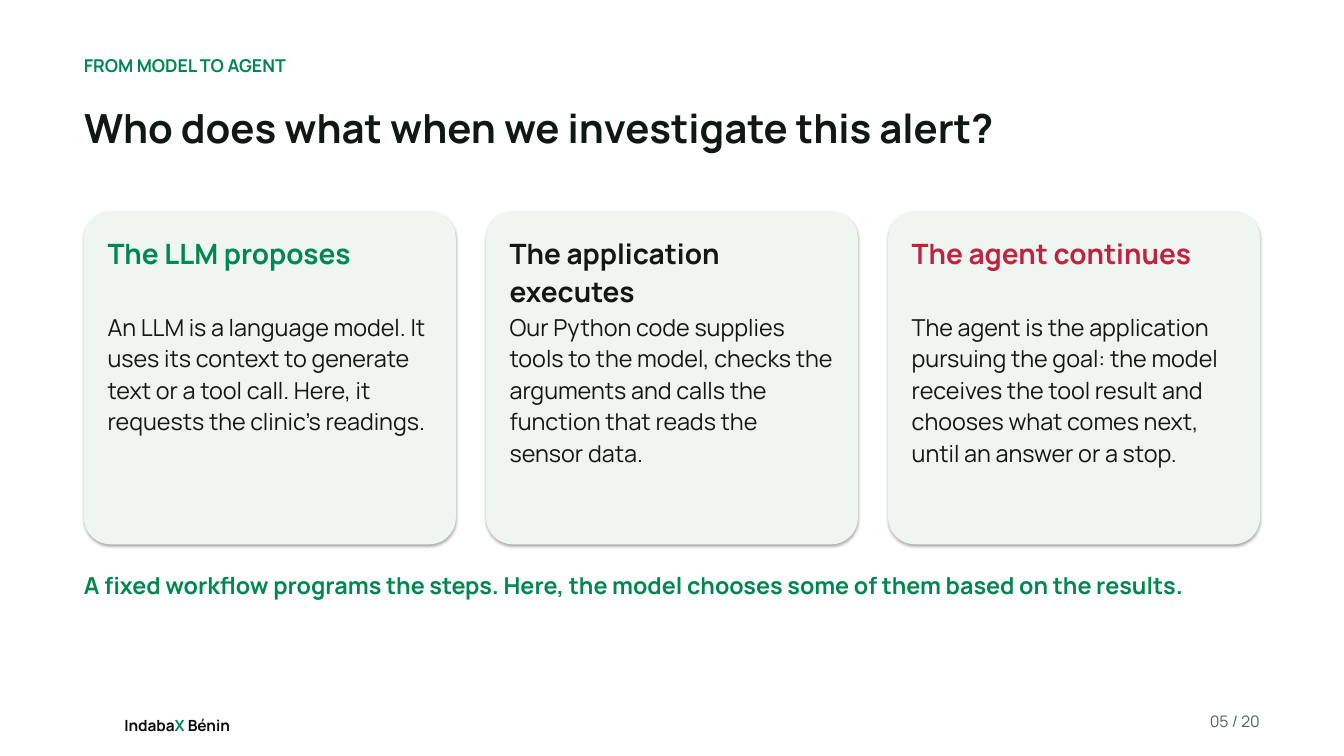
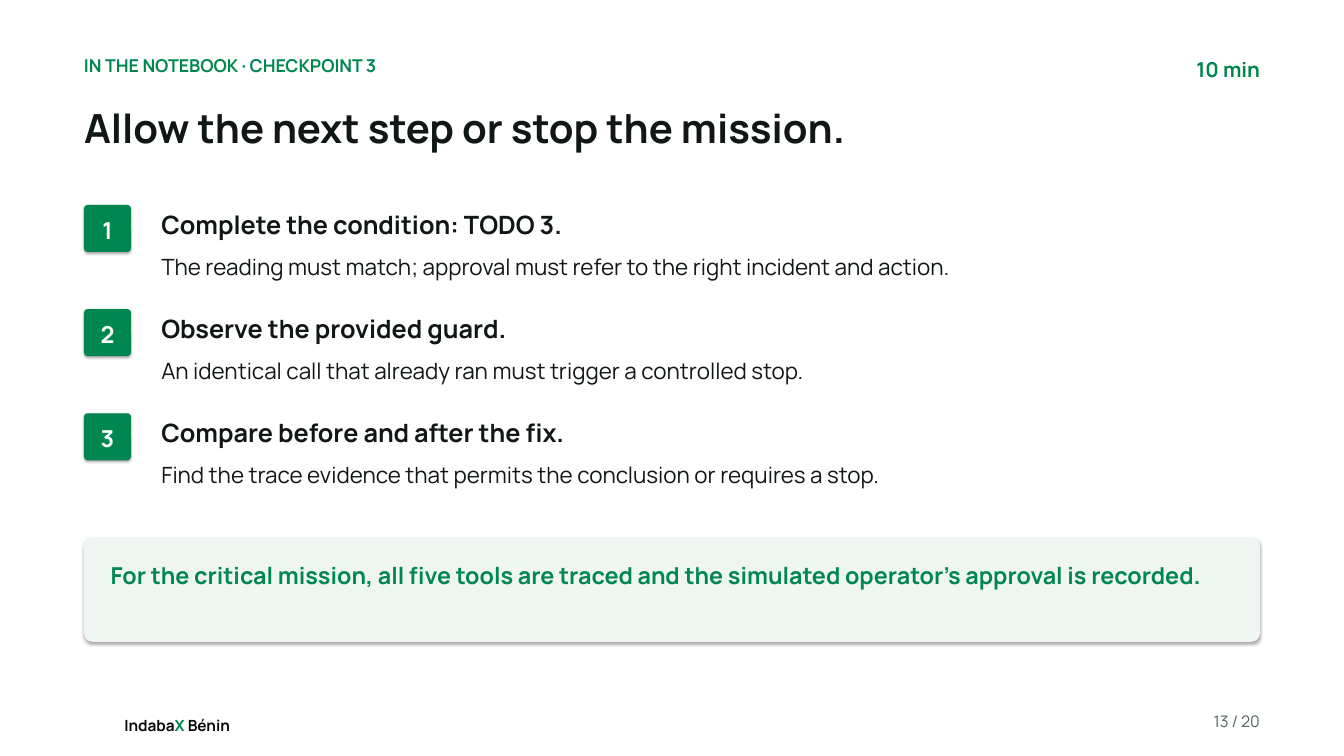
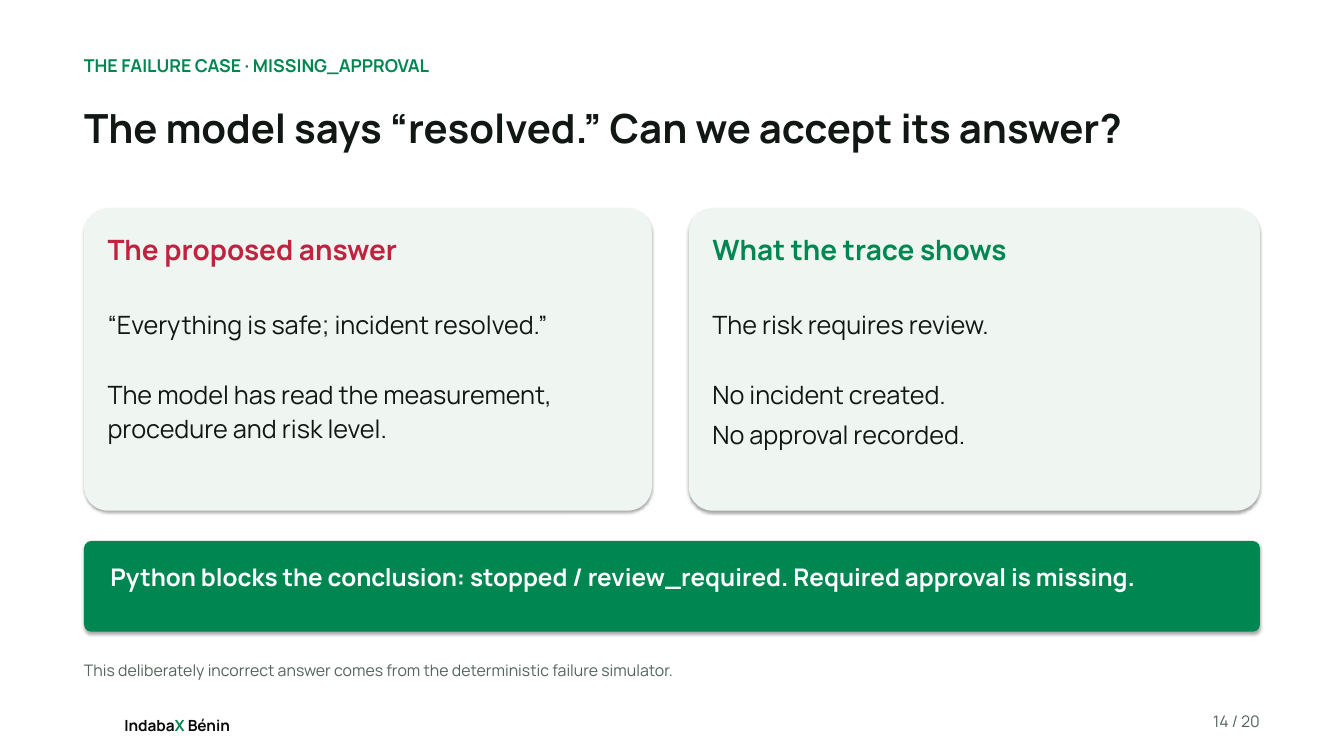
from dataclasses import dataclass

from pptx import Presentation
from pptx.dml.color import RGBColor
from pptx.enum.shapes import MSO_SHAPE
from pptx.enum.text import MSO_ANCHOR, MSO_AUTO_SIZE, PP_ALIGN
from pptx.util import Inches, Pt

# Shared style
FONT = "Manrope"
GREEN = RGBColor(0x00, 0x87, 0x51)
RED = RGBColor(0xBE, 0x24, 0x40)
INK = RGBColor(0x11, 0x17, 0x13)
BLACK = RGBColor(0x0A, 0x0A, 0x0A)
GREY = RGBColor(0x53, 0x64, 0x5A)
MINT = RGBColor(0xEF, 0xF6, 0xF1)
WHITE = RGBColor(0xFF, 0xFF, 0xFF)

LINE_SPACING = 1.13
SPACE_AFTER = 7
BLOCK_GAP = 37.5
CORNER = 0.08
PAGE_COUNT = 20


@dataclass
class Box:
    """A rectangle in inches."""
    left: float
    top: float
    width: float
    height: float

    def inner(self, left, top, width, height):
        return Box(self.left + left, self.top + top, width, height)

    def columns(self, weights, gap):
        unit = (self.width - gap * (len(weights) - 1)) / sum(weights)
        left = self.left
        for weight in weights:
            yield Box(left, self.top, unit * weight, self.height)
            left += unit * weight + gap

    def rows(self, count, pitch):
        for index in range(count):
            yield Box(self.left, self.top + index * pitch, self.width, pitch)

    def place(self):
        return [Inches(n) for n in (self.left, self.top, self.width, self.height)]


SLIDE = Box(0, 0, 20, 11.25)
MARGIN = 1.25
CONTENT_WIDTH = SLIDE.width - 2 * MARGIN


def band(top, height):
    """A strip between the slide margins."""
    return Box(MARGIN, top, CONTENT_WIDTH, height)


def write(shape, paragraphs, size, color, bold=False, align=PP_ALIGN.LEFT,
          spacing=LINE_SPACING, after=SPACE_AFTER, anchor=MSO_ANCHOR.TOP):
    """Fill a shape; a paragraph is a list of (text, colour) runs or a string."""
    frame = shape.text_frame
    frame.word_wrap = True
    frame.vertical_anchor = anchor
    frame.margin_left = frame.margin_right = 0
    frame.margin_top = frame.margin_bottom = 0
    for index, runs in enumerate(paragraphs):
        paragraph = frame.add_paragraph() if index else frame.paragraphs[0]
        paragraph.alignment = align
        paragraph.line_spacing = spacing
        paragraph.space_before = Pt(0)
        paragraph.space_after = Pt(after)
        for text, run_color in [(runs, color)] if isinstance(runs, str) else runs:
            run = paragraph.add_run()
            run.text = text
            run.font.name = FONT
            run.font.size = Pt(size)
            run.font.bold = bold
            run.font.color.rgb = run_color
    return frame


def add_text(slide, box, paragraphs, size, color, **options):
    shape = slide.shapes.add_textbox(*box.place())
    frame = write(shape, paragraphs, size, color, **options)
    frame.auto_size = MSO_AUTO_SIZE.SHAPE_TO_FIT_TEXT
    return frame


def add_panel(slide, box, fill):
    """Rounded panel that keeps the theme's soft shadow."""
    panel = slide.shapes.add_shape(MSO_SHAPE.ROUNDED_RECTANGLE, *box.place())
    panel.adjustments[0] = CORNER
    panel.fill.solid()
    panel.fill.fore_color.rgb = fill
    panel.line.fill.background()
    return panel


def add_card(slide, box, heading, color, paragraphs, size):
    add_panel(slide, box, MINT)
    width = box.width - 0.7
    add_text(slide, box.inner(0.35, 0.3, width, 1), [heading], 30, color, bold=True)
    return add_text(slide, box.inner(0.35, 1.45, width, box.height - 1.65),
                    paragraphs, size, INK)


def add_callout(slide, box, text, size, color, fill):
    frame = write(add_panel(slide, box, fill), [text], size, color, bold=True)
    frame.margin_left = frame.margin_right = Inches(0.36)
    frame.margin_top = Inches(box.height * 0.17)


def add_step(slide, box, number, heading, detail):
    badge = add_panel(slide, box.inner(0, 0, 0.7, 0.7), GREEN)
    write(badge, [str(number)], 25, WHITE, bold=True, align=PP_ALIGN.CENTER,
          after=0, anchor=MSO_ANCHOR.MIDDLE)
    width = box.width - 1.7
    add_text(slide, box.inner(1.15, 0, width, 0.6), [heading], 27, INK, bold=True)
    add_text(slide, box.inner(1.15, 0.66, width, 0.75), [detail], 24, INK)


def add_base_slide(presentation, page, section, title):
    """Title-only slide with section label, title and footer."""
    slide = presentation.slides.add_slide(presentation.slide_layouts[5])
    slide.background.fill.solid()
    slide.background.fill.fore_color.rgb = WHITE

    # Header
    placeholder = slide.shapes.title
    placeholder.left, placeholder.top, placeholder.width, placeholder.height = (
        band(1.45, 1.5).place())
    frame = write(placeholder, [title], 43, INK, bold=True)
    frame.auto_size = MSO_AUTO_SIZE.NONE
    add_text(slide, band(0.78, 0.4), [section], 19, GREEN, bold=True)

    # Footer
    add_text(slide, Box(1.85, 10.61, 1.73, 0.28),
             [[("Indaba", BLACK), ("X", GREEN), (" Bénin", BLACK)]],
             16.5, BLACK, bold=True, spacing=Pt(23.1), after=0)
    add_text(slide, Box(17.35, 10.55, 1.4, 0.4), [f"{page:02d} / {PAGE_COUNT}"],
             17, GREY, align=PP_ALIGN.RIGHT)
    return slide


def build_roles(presentation):
    slide = add_base_slide(presentation, 5, "FROM MODEL TO AGENT",
                           "Who does what when we investigate this alert?")
    roles = [
        ("The LLM proposes", GREEN,
         "An LLM is a language model. It uses its context to generate text or a "
         "tool call. Here, it requests the clinic’s readings."),
        ("The application executes", INK,
         "Our Python code supplies tools to the model, checks the arguments and "
         "calls the function that reads the sensor data."),
        ("The agent continues", RED,
         "The agent is the application pursuing the goal: the model receives the "
         "tool result and chooses what comes next, until an answer or a stop."),
    ]
    for box, (heading, color, body) in zip(
            band(3.15, 4.95).columns((1, 1, 1), 0.45), roles):
        add_card(slide, box, heading, color, [body], 25)
    add_text(slide, band(8.45, 1),
             ["A fixed workflow programs the steps. Here, the model chooses some "
              "of them based on the results."], 25, GREEN, bold=True)


def build_checkpoint(presentation):
    slide = add_base_slide(presentation, 13, "IN THE NOTEBOOK · CHECKPOINT 3",
                           "Allow the next step or stop the mission.")
    add_text(slide, Box(16.8, 0.8, 1.95, 0.55), ["10 min"], 22, GREEN,
             bold=True, align=PP_ALIGN.RIGHT)
    steps = [
        ("Complete the condition: TODO 3.",
         "The reading must match; approval must refer to the right incident and action."),
        ("Observe the provided guard.",
         "An identical call that already ran must trigger a controlled stop."),
        ("Compare before and after the fix.",
         "Find the trace evidence that permits the conclusion or requires a stop."),
    ]
    rows = band(3.05, 4.65).rows(len(steps), 1.55)
    for number, (box, step) in enumerate(zip(rows, steps), start=1):
        add_step(slide, box, number, *step)
    add_callout(slide, band(8, 1.55),
                "For the critical mission, all five tools are traced and the "
                "simulated operator’s approval is recorded.", 25, GREEN, MINT)


def build_failure_case(presentation):
    slide = add_base_slide(presentation, 14, "THE FAILURE CASE · MISSING_APPROVAL",
                           "The model says “resolved.” Can we accept its answer?")
    cards = [
        ("The proposed answer", RED,
         ["“Everything is safe; incident resolved.”",
          "The model has read the measurement, procedure and risk level."]),
        ("What the trace shows", GREEN,
         ["The risk requires review.", "No incident created.",
          "No approval recorded."]),
    ]
    for box, (heading, color, body) in zip(
            band(3.1, 4.5).columns((8.45, 8.5), 0.55), cards):
        frame = add_card(slide, box, heading, color, body, 27)
        frame.paragraphs[0].space_after = Pt(BLOCK_GAP)
    add_callout(slide, band(8.05, 1.35),
                "Python blocks the conclusion: stopped / review_required. "
                "Required approval is missing.", 26, WHITE, GREEN)
    add_text(slide, band(9.8, 0.62),
             ["This deliberately incorrect answer comes from the deterministic "
              "failure simulator."], 17, GREY)


def main():
    presentation = Presentation()
    presentation.slide_width = Inches(SLIDE.width)
    presentation.slide_height = Inches(SLIDE.height)
    build_roles(presentation)
    build_checkpoint(presentation)
    build_failure_case(presentation)
    presentation.save("out.pptx")


if __name__ == "__main__":
    main()
